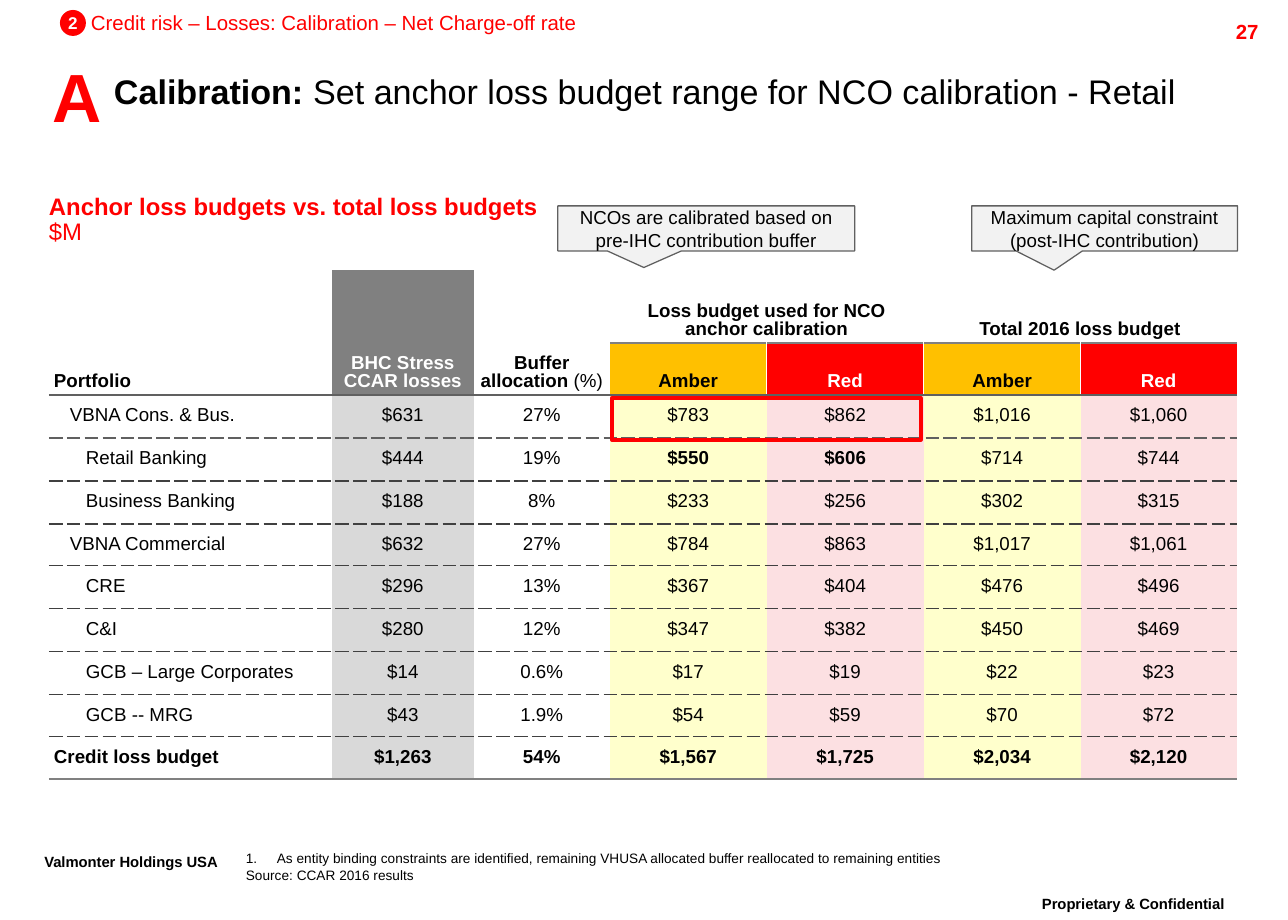
from dataclasses import dataclass

from lxml.etree import SubElement
from pptx import Presentation
from pptx.dml.color import RGBColor
from pptx.enum.shapes import MSO_SHAPE as Shape
from pptx.enum.text import MSO_ANCHOR as Anchor, MSO_AUTO_SIZE as AutoSize, PP_ALIGN as Align
from pptx.oxml.ns import qn
from pptx.util import Emu, Inches, Pt

TITLE = [("Calibration: ", {"bold": True}),
         "Set anchor loss budget range for NCO calibration - Retail"]
SECTION = "Credit risk – Losses: Calibration – Net Charge-off rate"
TABLE_HEADING = ["Anchor loss budgets vs. total loss budgets", ("$M", {"bold": False})]
FOOTNOTE = ("As entity binding constraints are identified, remaining VHUSA allocated buffer "
            "reallocated to remaining entities")
SOURCE = "Source: CCAR 2016 results"
CALLOUTS = [  # text, left, width, pointer x and y
    ("NCOs are calibrated based on pre-IHC contribution buffer", 558, 297, (-0.21, 0.87)),
    ("Maximum capital constraint (post-IHC contribution)", 972, 266, (-0.19, 0.93)),
]

TALL_HEADERS = ["Portfolio", "BHC Stress CCAR losses",
                [("Buffer allocation ", {}), ("(%)", {"bold": False})]]
GROUP_HEADERS = ["Loss budget used for NCO anchor calibration", "Total 2016 loss budget"]
LEVELS = ["Amber", "Red"]
PORTFOLIOS = [  # indent level, then one value per column
    (1, "VBNA Cons. & Bus.", "$631", "27%", "$783", "$862", "$1,016", "$1,060"),
    (2, "Retail Banking", "$444", "19%", "$550", "$606", "$714", "$744"),
    (2, "Business Banking", "$188", "8%", "$233", "$256", "$302", "$315"),
    (1, "VBNA Commercial", "$632", "27%", "$784", "$863", "$1,017", "$1,061"),
    (2, "CRE", "$296", "13%", "$367", "$404", "$476", "$496"),
    (2, "C&I", "$280", "12%", "$347", "$382", "$450", "$469"),
    (2, "GCB – Large Corporates", "$14", "0.6%", "$17", "$19", "$22", "$23"),
    (2, "GCB -- MRG", "$43", "1.9%", "$54", "$59", "$70", "$72"),
    (0, "Credit loss budget", "$1,263", "54%", "$1,567", "$1,725", "$2,034", "$2,120"),
]
BOLD_CELLS = {(1, 3), (1, 4)}
COLUMN_WIDTHS = [283, 142, 136, 157, 157, 157, 156]
ROW_HEIGHTS = [73, 52, 43, 43, 43, 42, 43, 43, 43, 42, 42]
TABLE_LEFT, TABLE_TOP = 49, 270
FIRST_BUDGET = 3
INDENT = 16
NO_STYLE = "{2D5ABB26-0587-4C30-8999-92F81FD0307C}"


@dataclass(frozen=True)
class Theme:
    font: str = "Arial"
    red: str = "FF0000"
    amber: str = "FFC000"
    pale_red: str = "FCE0E2"
    pale_amber: str = "FFFFCC"
    black: str = "000000"
    white: str = "FFFFFF"
    gray: str = "808080"
    pale_gray: str = "D9D9D9"
    callout: str = "F2F2F2"
    rule: str = "606060"
    dark_rule: str = "404040"
    letter: int = 40
    title: int = 20
    footer: int = 15
    heading: int = 14
    section: int = 12
    body: int = 11
    badge: int = 10
    note: int = 8


THEME = Theme()


def px(length):
    return Emu(round(length * 914400 / 122.7))


def rgb(color):
    return RGBColor.from_string(color)


def write(frame, *paras, size=THEME.body, color=THEME.black, bold=False, align=Align.LEFT,
          spacing=1.0, indent=0, raised=False):
    """Fill a text frame; a paragraph is a string, a (text, format) span or a list of these."""
    for index, content in enumerate(paras):
        para = frame.paragraphs[0] if index == 0 else frame.add_paragraph()
        para.alignment, para.line_spacing = align, spacing
        if indent:
            para._p.get_or_add_pPr().set("marL", str(px(indent)))
        for piece in content if isinstance(content, list) else [content]:
            text, changes = (piece, {}) if isinstance(piece, str) else piece
            span = para.add_run()
            span.text = text
            span.font.name, span.font.size = THEME.font, Pt(size)
            span.font.bold = changes.get("bold", bold)
            span.font.color.rgb = rgb(color)
            if raised:
                span.font._element.set("baseline", "30000")


def lay_out(frame, anchor=Anchor.TOP, inset=0, wrap=True):
    frame.auto_size, frame.word_wrap, frame.vertical_anchor = AutoSize.NONE, wrap, anchor
    frame.margin_left = frame.margin_right = px(inset)
    frame.margin_top = frame.margin_bottom = px(inset)


def add_text(page, area, *paras, anchor=Anchor.TOP, inset=0, wrap=True, **fmt):
    box = page.shapes.add_textbox(*map(px, area))
    lay_out(box.text_frame, anchor, inset, wrap)
    write(box.text_frame, *paras, **fmt)
    return box


def add_figure(page, kind, area, fill=None, line=None, width=0.75):
    figure = page.shapes.add_shape(kind, *map(px, area))
    figure.shadow.inherit = False
    if fill:
        figure.fill.solid()
        figure.fill.fore_color.rgb = rgb(fill)
    else:
        figure.fill.background()
    if line:
        figure.line.color.rgb, figure.line.width = rgb(line), Pt(width)
    else:
        figure.line.fill.background()
    return figure


def set_borders(cell, **sides):
    """Draw the L, R, T, B sides given as (color, points, dash); hide the others."""
    props = cell._tc.get_or_add_tcPr()
    for side in "LRTB":
        color, width, dash = sides.get(side) or (None, 0, None)
        line = SubElement(props, qn(f"a:ln{side}"), w=str(Pt(width)))
        if color is None:
            SubElement(line, qn("a:noFill"))
            continue
        SubElement(SubElement(line, qn("a:solidFill")), qn("a:srgbClr"), val=color)
        SubElement(line, qn("a:prstDash"), val=dash)


def fill_cell(cell, content, fill, anchor=Anchor.MIDDLE, **fmt):
    cell.fill.solid()
    cell.fill.fore_color.rgb = rgb(fill)
    cell.vertical_anchor = anchor
    cell.margin_left = cell.margin_right = px(5)
    cell.margin_top = cell.margin_bottom = px(4)
    write(cell.text_frame, content, spacing=0.86, **fmt)


def rule_below(row, column):
    if row == 0 and column >= FIRST_BUDGET:
        return THEME.gray, 1, "solid"
    if row <= 1:
        return THEME.rule, 1, "solid"
    if row == len(ROW_HEIGHTS) - 1:
        return THEME.gray, 1.5, "solid"
    return (THEME.rule if row == 2 else THEME.dark_rule), 1, "sysDash"


def add_budget_table(page):
    area = TABLE_LEFT, TABLE_TOP, sum(COLUMN_WIDTHS), sum(ROW_HEIGHTS)
    table = page.shapes.add_table(len(ROW_HEIGHTS), len(COLUMN_WIDTHS), *map(px, area)).table
    table.first_row = table.horz_banding = False
    table._tbl.tblPr.find(qn("a:tableStyleId")).text = NO_STYLE
    for column, width in zip(table.columns, COLUMN_WIDTHS):
        column.width = px(width)
    for row, height in zip(table.rows, ROW_HEIGHTS):
        row.height = px(height)

    gap = THEME.white, 1, "solid"
    last = len(COLUMN_WIDTHS) - 1
    for r in range(len(ROW_HEIGHTS)):
        for c in range(len(COLUMN_WIDTHS)):
            split = r == 1 and c >= FIRST_BUDGET
            set_borders(table.cell(r, c), T=rule_below(r - 1, c) if r else None,
                        B=rule_below(r, c), L=gap if split else None,
                        R=gap if split and c < last else None)

    header = {"anchor": Anchor.BOTTOM, "bold": True}
    for c, content in enumerate(TALL_HEADERS):
        table.cell(0, c).merge(table.cell(1, c))
        fill_cell(table.cell(0, c), content, THEME.gray if c == 1 else THEME.white,
                  color=THEME.white if c == 1 else THEME.black,
                  align=Align.CENTER if c else Align.LEFT, **header)
    for group, content in enumerate(GROUP_HEADERS):
        start = FIRST_BUDGET + group * len(LEVELS)
        table.cell(0, start).merge(table.cell(0, start + 1))
        fill_cell(table.cell(0, start), content, THEME.white, align=Align.CENTER, **header)
        for offset, level in enumerate(LEVELS):
            fill_cell(table.cell(1, start + offset), level, (THEME.amber, THEME.red)[offset],
                      color=(THEME.black, THEME.white)[offset], align=Align.CENTER, **header)

    fills = [THEME.white, THEME.pale_gray, THEME.white] + [THEME.pale_amber, THEME.pale_red] * 2
    for r, (level, *values) in enumerate(PORTFOLIOS):
        for c, value in enumerate(values):
            fill_cell(table.cell(r + 2, c), value, fills[c],
                      bold=level == 0 or (r, c) in BOLD_CELLS,
                      align=Align.CENTER if c else Align.LEFT, indent=0 if c else level * INDENT)


def main():
    deck = Presentation()
    deck.slide_width, deck.slide_height = Inches(10.5), Inches(7.5)
    page = deck.slides.add_slide(deck.slide_layouts[5])

    title = page.shapes.title
    title.left, title.top, title.width, title.height = map(px, (114, 61, 1096, 59))
    lay_out(title.text_frame, Anchor.MIDDLE)
    write(title.text_frame, TITLE, size=THEME.title)

    footer = {"size": THEME.footer, "bold": True, "spacing": 0.86, "raised": True,
              "align": Align.CENTER, "inset": 6}
    add_text(page, (1000, 890, 267, 43), "Proprietary & Confidential", **footer)
    add_text(page, (32, 848, 198, 43), "Valmonter Holdings USA", wrap=False, **footer)
    add_text(page, (1148, 13, 123, 29), "27", size=THEME.section, color=THEME.red, bold=True,
             align=Align.RIGHT, inset=12, anchor=Anchor.MIDDLE).top = px(17)
    add_text(page, (40, 48, 75, 94), "A", size=THEME.letter, color=THEME.red, bold=True,
             align=Align.CENTER, inset=6, wrap=False)
    add_text(page, (49, 196, 706, 50), *TABLE_HEADING, size=THEME.heading, color=THEME.red,
             bold=True, spacing=0.86)

    add_budget_table(page)
    add_figure(page, Shape.RECTANGLE, (612, 398, 309, 42), line=THEME.red, width=2.25)
    for text, left, width, pointer in CALLOUTS:
        callout = add_figure(page, Shape.RECTANGULAR_CALLOUT, (left, 206, width, 45),
                             THEME.callout, THEME.rule)
        callout.adjustments[0], callout.adjustments[1] = pointer
        lay_out(callout.text_frame, Anchor.MIDDLE, inset=10)
        write(callout.text_frame, text, align=Align.CENTER)

    notes = add_text(page, (246, 850, 774, 33), FOOTNOTE, SOURCE, size=THEME.note,
                     anchor=Anchor.BOTTOM)
    numbered = notes.text_frame.paragraphs[0]._p.get_or_add_pPr()
    numbered.set("marL", str(px(31)))
    numbered.set("indent", str(-px(31)))
    SubElement(numbered, qn("a:buFont"), typeface=THEME.font)
    SubElement(numbered, qn("a:buAutoNum"), type="arabicPeriod")

    add_text(page, (91, 10, 490, 25), SECTION, size=THEME.section, color=THEME.red, wrap=False)
    badge = add_figure(page, Shape.OVAL, (60, 10, 26, 26), THEME.red)
    lay_out(badge.text_frame, Anchor.MIDDLE, wrap=False)
    write(badge.text_frame, "2", size=THEME.badge, color=THEME.white, bold=True,
          align=Align.CENTER)

    deck.save("out.pptx")


if __name__ == "__main__":
    main()
